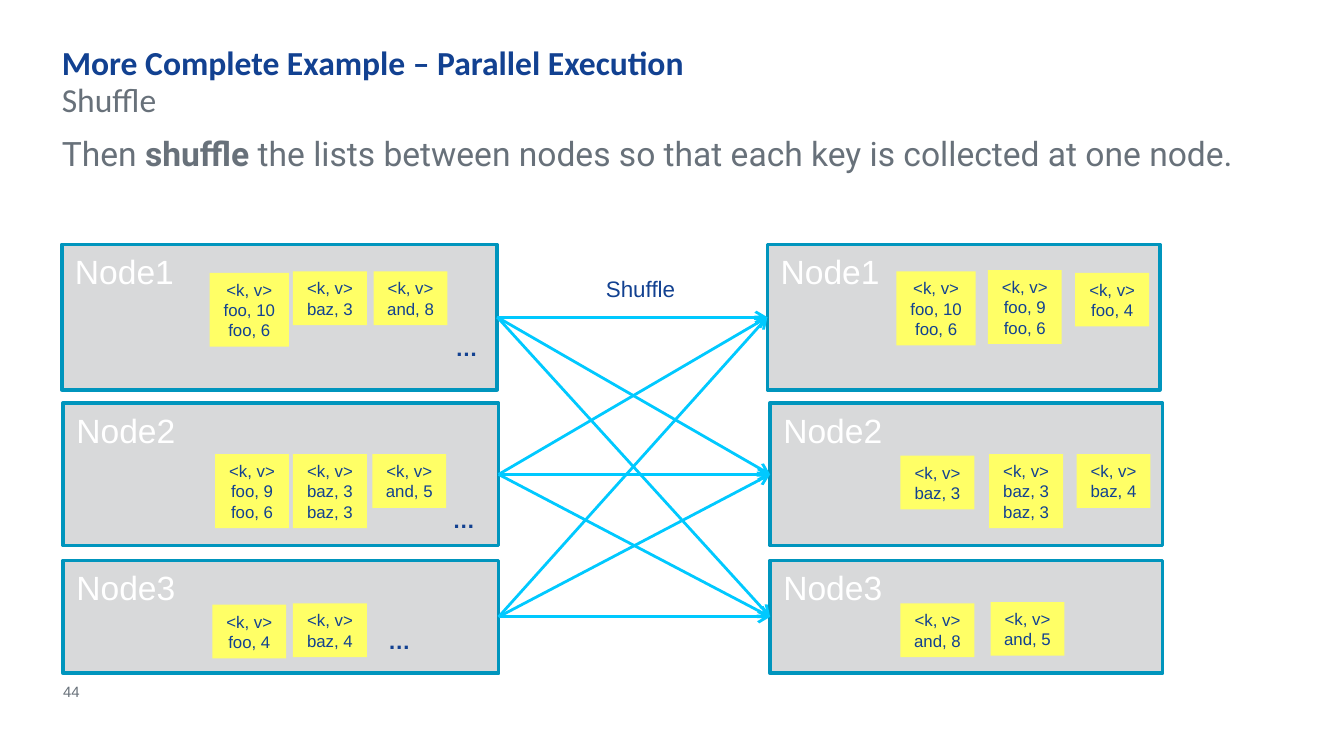
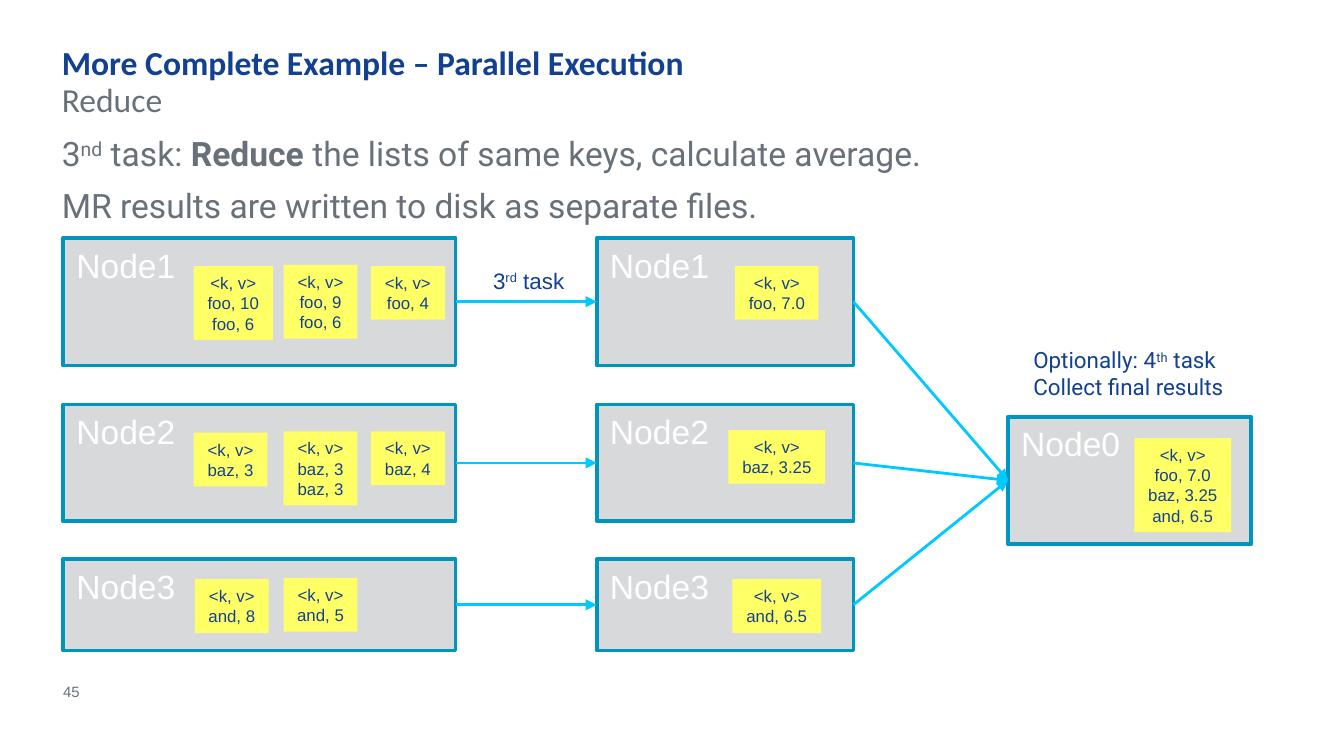
from copy import deepcopy
from pptx import Presentation
from pptx import util as u
from pptx.dml.color import RGBColor
from pptx.enum import shapes, text
from pptx.oxml.ns import qn
from lxml import etree

BLUE, GREY, WHITE = "124191", "68717A", "FFFFFF"
PANEL, EDGE, NOTE, ARROW = "D8D9DA", "0095BD", "FFFF66", "00C9FF"
LEFT, WIDE = 0.46, 9
TITLE = "More Complete Example – Parallel Execution"
NOTE_W = 0.55
LONG = {"foo, 10": 0.59, "foo, 7.0": 0.62, "and, 6.5": 0.66, "baz, 3.25": 0.72}


def color(code):
    return RGBColor.from_string(code)


def box(*dims):
    return [u.Inches(d) for d in dims]


def add_run(para, words, style, size, font, ink):
    run = para.add_run()
    run.text = words
    run.font.size, run.font.name = u.Pt(size), font
    run.font.color.rgb = color(ink)
    run.font.bold = style == "b"
    if style == "sup":
        run.font._element.set("baseline", "30000")
    return run


def write(frame, paras, size, font, ink, align=None, after=None):
    """Fill a frame; each paragraph is a list of (words, style) runs, style "", "b" or "sup"."""
    for i, runs in enumerate(paras):
        para = frame.paragraphs[0] if i == 0 else frame.add_paragraph()
        para.alignment = align
        if after is not None:
            para.space_before, para.space_after = u.Pt(0), u.Pt(after)
        for words, style in runs:
            first, *rest = words.split("\n")
            run = add_run(para, first, style, size, font, ink)
            for line in rest:
                para.add_line_break()
                para._p[-1].append(deepcopy(run.font._element))
                run = add_run(para, line, style, size, font, ink)


def plain(words, style=""):
    return [(words, style)]


def trim(frame):
    """Take away the insets and set the text at the top."""
    frame.margin_left = frame.margin_right = frame.margin_top = frame.margin_bottom = 0
    frame.vertical_anchor = text.MSO_ANCHOR.TOP


def hold(shape, dims, paras, font, ink, after):
    """Move a placeholder and fill it without bullets."""
    shape.left, shape.top, shape.width, shape.height = box(*dims)
    frame = shape.text_frame
    trim(frame)
    frame.auto_size = text.MSO_AUTO_SIZE.NONE
    write(frame, paras, 18, font, ink, text.PP_ALIGN.LEFT, after)
    for para in frame.paragraphs:
        props = para._p.get_or_add_pPr()
        props.set("marL", "0")
        props.set("indent", "0")
        etree.SubElement(props, qn("a:buNone"))


def start(deck, step, paras, page):
    """Add a slide with its title, step name, body and page number."""
    slide = deck.slides.add_slide(deck.slide_layouts[3])
    head, sub, body = slide.placeholders
    hold(head, (LEFT, 0.31, WIDE, 0.34), [plain(TITLE, "b")], "Calibri", BLUE, 0)
    hold(sub, (LEFT, 0.59, WIDE, 0.33), [plain(step)], "Calibri", GREY, 6)
    hold(body, (LEFT, 0.99, WIDE, 3.81), paras, "Roboto", GREY, 6)
    foot = slide.shapes.add_textbox(*box(0.47, 5.08, 0.16, 0.15)).text_frame
    trim(foot)
    foot.word_wrap = False
    write(foot, [plain(str(page))], 8, "Arial", GREY)
    return slide


def rect(slide, dims, fill):
    shape = slide.shapes.add_shape(shapes.MSO_SHAPE.RECTANGLE, *box(*dims))
    shape.shadow.inherit = False
    shape.fill.solid()
    shape.fill.fore_color.rgb = color(fill)
    shape.line.fill.background()
    return shape


def grow(frame):
    frame.word_wrap = False
    frame.auto_size = text.MSO_AUTO_SIZE.SHAPE_TO_FIT_TEXT


def node(slide, name, dims):
    shape = rect(slide, dims, PANEL)
    shape.line.color.rgb = color(EDGE)
    shape.line.width = u.Pt(2)
    frame = shape.text_frame
    frame.vertical_anchor = text.MSO_ANCHOR.TOP
    write(frame, [plain(name)], 18, "Arial", WHITE, text.PP_ALIGN.LEFT)
    return shape


def column(slide, lefts, width, rows):
    """Stack the nodes 1 to 3; rows holds their tops and heights."""
    return [node(slide, f"Node{i}", (x, y, width, h))
            for i, (x, (y, h)) in enumerate(zip(lefts, rows), 1)]


def notes(slide, items):
    """Add yellow key-value lists, each given as left, top and its pairs."""
    for x, y, *pairs in items:
        lines = ["<k, v>", *pairs]
        width = max(LONG.get(pair, NOTE_W) for pair in pairs)
        shape = rect(slide, (x, y, width, 0.1 + 0.15 * len(lines)), NOTE)
        grow(shape.text_frame)
        write(shape.text_frame, [plain(line) for line in lines],
              9, "Arial", BLUE, text.PP_ALIGN.CENTER)


def label(slide, dims, paras, font="Arial"):
    frame = slide.shapes.add_textbox(*box(*dims)).text_frame
    grow(frame)
    write(frame, paras, 12, font, BLUE)


def arrow(slide, src, dest, tip):
    """Join the right side of one node to the left side of another."""
    link = slide.shapes.add_connector(shapes.MSO_CONNECTOR.STRAIGHT, 0, 0, 0, 0)
    link.begin_connect(src, 3)
    link.end_connect(dest, 1)
    link.line.color.rgb = color(ARROW)
    link.line.width = u.Pt(1.5)
    etree.SubElement(link.line._get_or_add_ln(), qn("a:tailEnd"), type=tip)
    etree.SubElement(link._element.spPr, qn("a:effectLst"))


def shuffle(deck):
    slide = start(deck, "Shuffle", [[
        ("Then ", ""), ("shuffle", "b"),
        (" the lists between nodes so that each key is collected at one node.", ""),
    ]], 44)
    rows = [(1.82, 1.08), (3, 1.06), (4.17, 0.84)]
    right = column(slide, (5.71, 5.73, 5.73), 2.92, rows)
    left = column(slide, (0.46, 0.47, 0.47), 3.24, rows)
    notes(slide, [
        (1.56, 2.03, "foo, 10", "foo, 6"),
        (1.6, 3.38, "foo, 9", "foo, 6"),
        (2.18, 2.02, "baz, 3"),
        (2.78, 2.02, "and, 8"),
        (2.18, 3.38, "baz, 3", "baz, 3"),
        (2.77, 3.38, "and, 5"),
        (6.67, 2.02, "foo, 10", "foo, 6"),
        (1.58, 4.5, "foo, 4"),
        (2.18, 4.49, "baz, 4"),
        (7.35, 2.01, "foo, 9", "foo, 6"),
        (8, 2.03, "foo, 4"),
        (6.7, 3.39, "baz, 3"),
        (7.36, 3.38, "baz, 3", "baz, 3"),
        (8.01, 3.38, "baz, 4"),
        (6.7, 4.49, "and, 8"),
        (7.37, 4.48, "and, 5"),
    ])
    for x, y in ((3.29, 2.44), (3.27, 3.72), (2.79, 4.62)):
        label(slide, (x, y, 0.37, 0.3), [plain("…", "b")])
    for src in left:
        for dest in right:
            arrow(slide, src, dest, "arrow")
    label(slide, (4.41, 2, 0.72, 0.3), [plain("Shuffle")])


def reduce(deck):
    slide = start(deck, "Reduce", [
        [("3", ""), ("nd", "sup"), (" task: ", ""), ("Reduce", "b"),
         (" the lists of same keys, calculate average.", "")],
        plain("MR results are written to disk as separate files."),
    ], 45)
    rows = [(1.77, 0.95), (3.01, 0.87), (4.16, 0.68)]
    final = node(slide, "Node0", (7.5, 3.1, 1.81, 0.95))
    left = column(slide, [0.47] * 3, 2.92, rows)
    mid = column(slide, [4.44] * 3, 1.91, rows)
    for src, dest in zip(left, mid):
        arrow(slide, src, dest, "triangle")
        arrow(slide, dest, final, "triangle")
    notes(slide, [
        (8.44, 3.26, "foo, 7.0", "baz, 3.25", "and, 6.5"),
        (1.44, 1.98, "foo, 10", "foo, 6"),
        (2.11, 1.97, "foo, 9", "foo, 6"),
        (2.76, 1.98, "foo, 4"),
        (1.44, 3.22, "baz, 3"),
        (2.11, 3.21, "baz, 3", "baz, 3"),
        (2.76, 3.21, "baz, 4"),
        (1.45, 4.31, "and, 8"),
        (2.11, 4.3, "and, 5"),
        (5.47, 1.98, "foo, 7.0"),
        (5.42, 3.2, "baz, 3.25"),
        (5.45, 4.31, "and, 6.5"),
    ])
    label(slide, (3.57, 1.94, 0.75, 0.3), [[("3", ""), ("rd", "sup"), (" task", "")]])
    label(slide, (7.59, 2.53, 1.63, 0.5), [
        [("Optionally: 4", ""), ("th", "sup"), (" task\nCollect final results", "")],
    ], "Roboto")


def main():
    deck = Presentation()
    deck.slide_width = u.Inches(10)
    deck.slide_height = deck.slide_width * 9 // 16
    shuffle(deck)
    reduce(deck)
    deck.save("out.pptx")


if __name__ == "__main__":
    main()
